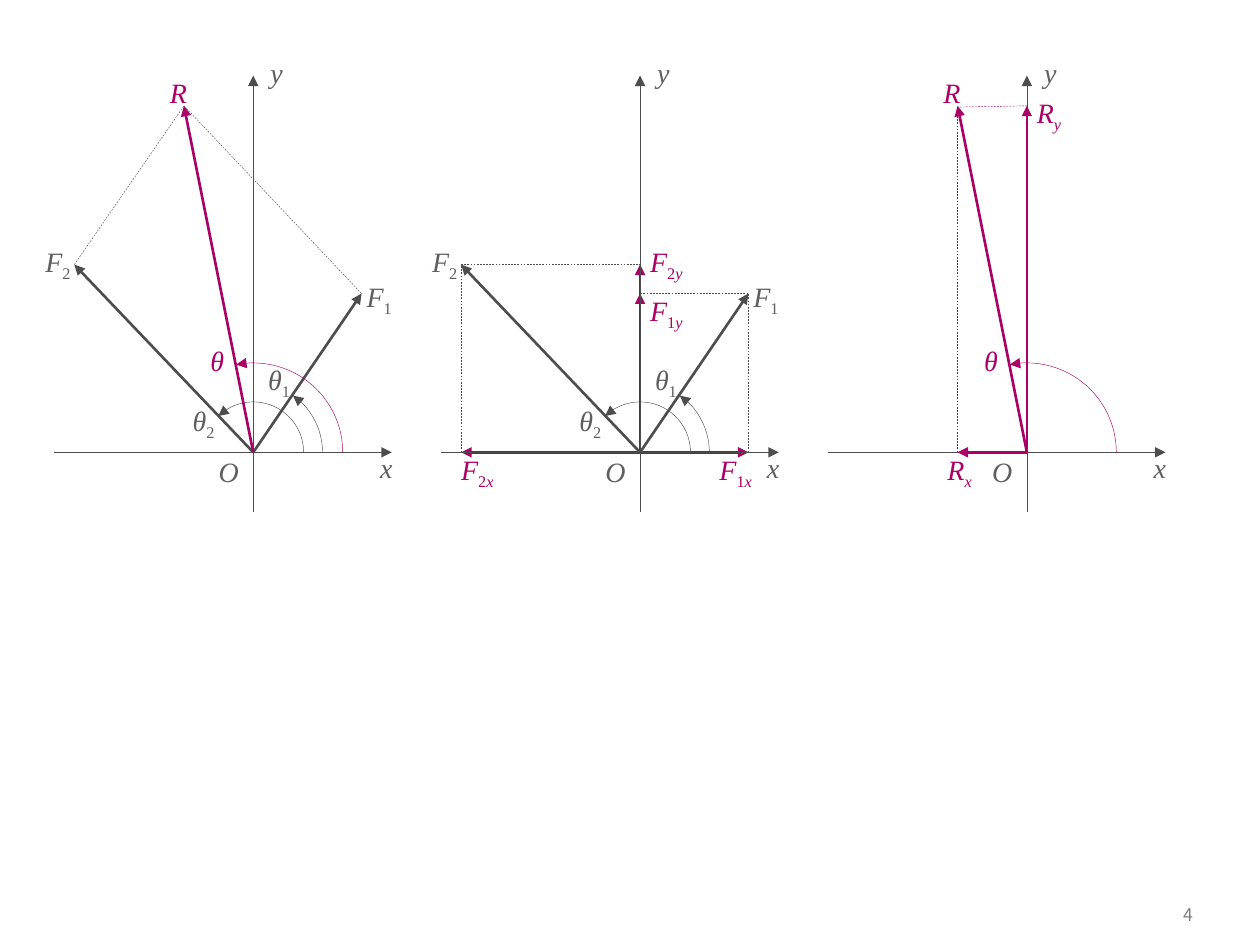
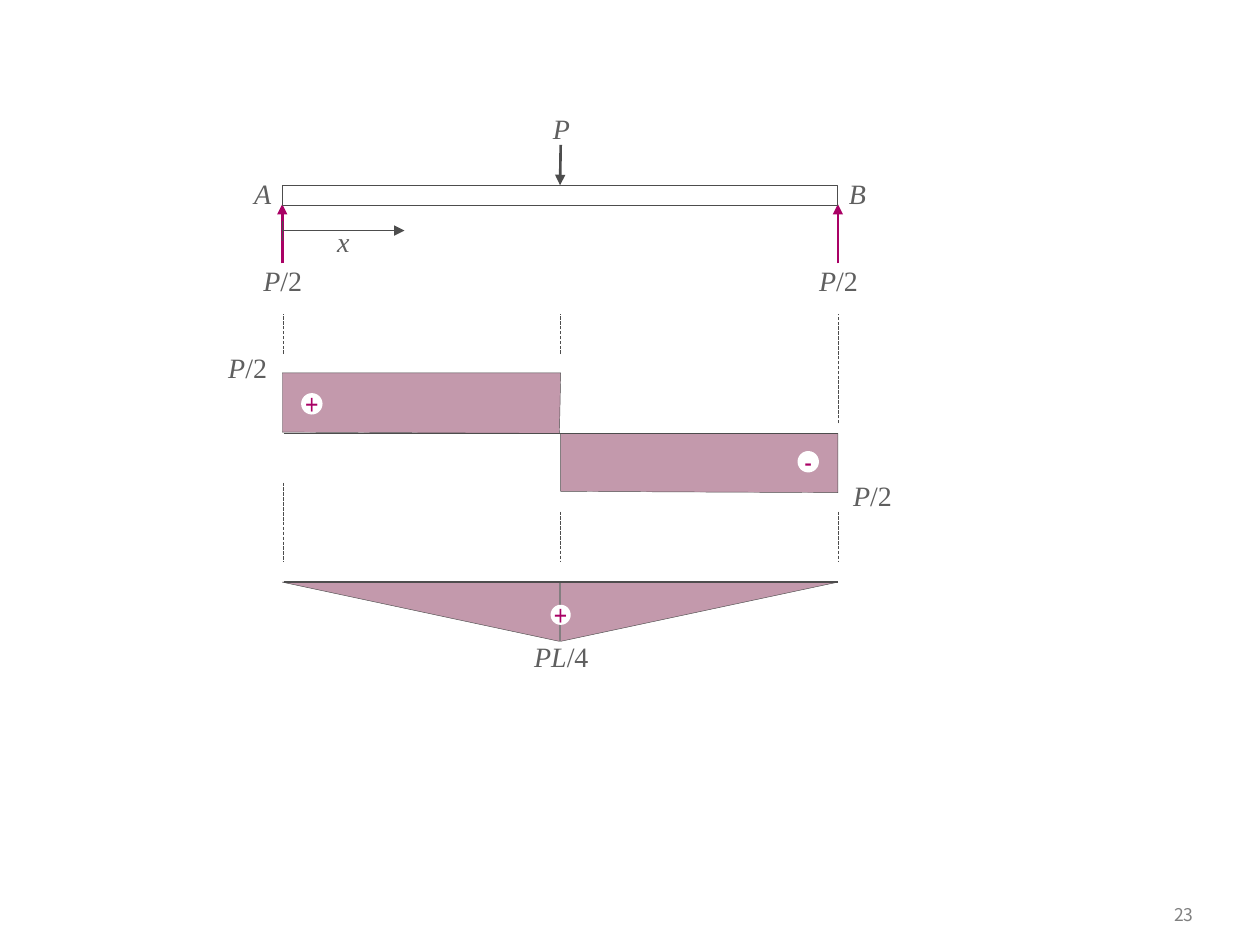
from itertools import groupby

from lxml import etree
from pptx import Presentation
from pptx.dml.color import RGBColor
from pptx.enum.dml import MSO_LINE
from pptx.enum.shapes import MSO_CONNECTOR, MSO_SHAPE
from pptx.enum.text import MSO_ANCHOR, MSO_AUTO_SIZE, PP_ALIGN
from pptx.oxml.ns import qn
from pptx.util import Pt

PX = 9144
INK = RGBColor(0x4D, 0x4D, 0x4D)
TEXT_GRAY = RGBColor(0x5F, 0x5F, 0x5F)
PAGE_GRAY = RGBColor(0x80, 0x80, 0x80)
MAGENTA = RGBColor(0xA9, 0x01, 0x65)
WINE = RGBColor(0x6B, 0x01, 0x31)
WHITE = RGBColor(0xFF, 0xFF, 0xFF)

STRAIGHT = MSO_CONNECTOR.STRAIGHT
DASH, LONG_DASH = MSO_LINE.DASH, MSO_LINE.LONG_DASH
ARC, RECTANGLE = MSO_SHAPE.ARC, MSO_SHAPE.RECTANGLE
OVAL, TRIANGLE = MSO_SHAPE.OVAL, MSO_SHAPE.ISOSCELES_TRIANGLE
LEFT, CENTER, RIGHT = PP_ALIGN.LEFT, PP_ALIGN.CENTER, PP_ALIGN.RIGHT
MIDDLE = MSO_ANCHOR.MIDDLE
GROW = MSO_AUTO_SIZE.SHAPE_TO_FIT_TEXT

MATH = {"name": "Times New Roman", "size": Pt(16)}
SIGN = {"name": "Arial Narrow", "size": Pt(16)}
PAGE = {"name": "Noto Sans CJK KR", "size": Pt(10)}
NO_INSETS = {"margin_left": 0, "margin_top": 0, "margin_right": 0, "margin_bottom": 0}
HAIR, THIN, EDGE, BOLD = 0, 0.25, 0.75, 1.5


def apply(target, formats):
    for name, value in formats.items():
        setattr(target, name, value)


class Diagram:
    def __init__(self):
        self.presentation = Presentation()
        apply(self.presentation, {"slide_width": 1000 * PX, "slide_height": 750 * PX})

    def new_slide(self, number):
        self.slide = self.presentation.slides.add_slide(self.presentation.slide_layouts[6])
        self.shapes = self.slide.shapes
        self.origin = (0, 0)
        frame = self.text_box(886, 709, 71, 33)
        frame.vertical_anchor = MIDDLE
        frame.paragraphs[0].alignment = RIGHT
        self.run(frame.paragraphs[0], number, PAGE, PAGE_GRAY)

    def new_group(self, x=0, y=0):
        self.shapes = self.slide.shapes.add_group_shape().shapes
        self.origin = (x, y)

    def place(self, x, y):
        return (self.origin[0] + x) * PX, (self.origin[1] + y) * PX

    def text_box(self, left, top, width, height):
        shape = self.shapes.add_textbox(*self.place(left, top), width * PX, height * PX)
        shape.text_frame.word_wrap = True
        return shape.text_frame

    def run(self, paragraph, text, formats, color):
        run = paragraph.add_run()
        run.text = text
        apply(run.font, formats)
        run.font.color.rgb = color
        return run

    def label(self, text, left, top, width, color=TEXT_GRAY, align=CENTER, padded=False):
        frame = self.text_box(left, top, width, 37 if padded else 27)
        apply(frame, {"auto_size": GROW} if padded else {"auto_size": GROW, **NO_INSETS})
        paragraph = frame.paragraphs[0]
        paragraph.alignment = align
        base, _, subscript = text.partition("_")
        for part, lowered in ((base, False), (subscript, True)):
            for italic, letters in groupby(part, str.isalpha):
                run = self.run(paragraph, "".join(letters), {**MATH, "italic": italic}, color)
                if lowered:
                    run._r.get_or_add_rPr().set("baseline", "-25000")

    def outline(self, shape, color, width, arrow=False, dash=None):
        shape.line.color.rgb = color
        if dash:
            shape.line.dash_style = dash
        ln = shape.get_or_add_ln()
        ln.set("w", str(int(Pt(width))))
        if arrow:
            etree.SubElement(ln, qn("a:tailEnd"), type="triangle")

    def line(self, start, end, color=INK, width=THIN, arrow=False, dash=None):
        connector = self.shapes.add_connector(STRAIGHT, *self.place(*start), *self.place(*end))
        self.outline(connector, color, width, arrow, dash)
        etree.SubElement(connector.element.spPr, qn("a:effectLst"))
        return connector

    def vector(self, end, color=INK):
        self.line((0, 0), end, color, BOLD, True)

    def shape(self, kind, left, top, width, height, rotation=0, flip=None):
        shape = self.shapes.add_shape(kind, *self.place(left, top), width * PX, height * PX)
        shape.shadow.inherit = False
        shape.rotation = rotation
        if flip:
            shape.element.spPr.xfrm.set(flip, "1")
        return shape

    def arc(self, radius, degrees, color=INK):
        shape = self.shape(ARC, -radius, -radius, 2 * radius, 2 * radius, 180, "flipV")
        shape.adjustments[0] = 180 * 0.6
        shape.adjustments[1] = (180 + degrees) * 0.6
        shape.fill.background()
        self.outline(shape, color, THIN, True)

    def tint(self, shape):
        shape.fill.solid()
        shape.fill.fore_color.rgb = WINE
        color = shape.element.spPr.find(".//" + qn("a:srgbClr"))
        etree.SubElement(color, qn("a:alpha"), val="40000")
        self.outline(shape, INK, THIN)

    def polygon(self, points):
        corners = [self.place(*point) for point in points]
        builder = self.shapes.build_freeform(*corners[0])
        builder.add_line_segments(corners[1:], close=True)
        shape = builder.convert_to_shape()
        shape.shadow.inherit = False
        self.tint(shape)

    def triangle(self, left, top, width, height, flip=None):
        shape = self.shape(TRIANGLE, left, top, width, height, 180, flip)
        shape.adjustments[0] = 0
        self.tint(shape)

    def sign(self, text, left, top, size=17):
        shape = self.shape(OVAL, left, top, size, size)
        shape.fill.solid()
        shape.fill.fore_color.rgb = WHITE
        shape.line.fill.background()
        apply(shape.text_frame, {"word_wrap": False, "vertical_anchor": MIDDLE})
        paragraph = shape.text_frame.paragraphs[0]
        paragraph.alignment = CENTER
        self.run(paragraph, text, SIGN, MAGENTA)


FORCE_1, FORCE_2, RESULTANT = (86, -126), (-142, -149), (-55, -275)


def draw_axes(diagram):
    diagram.line((0, 47), (0, -299), width=HAIR, arrow=True)
    diagram.label("O", -39, -3, 39, padded=True)
    diagram.line((-158, 0), (110, 0), width=HAIR, arrow=True)
    diagram.label("x", 86, -1, 39)
    diagram.label("y", -1, -315, 39)


def draw_forces(diagram):
    diagram.label("F_1", 90, -137, 24, align=LEFT)
    diagram.label("F_2", -165, -165, 24, align=LEFT)
    diagram.vector(FORCE_1)
    diagram.vector(FORCE_2)
    diagram.arc(55, 55)
    diagram.arc(40, 134)
    diagram.label("θ_1", 5, -71, 31)
    diagram.label("θ_2", -55, -39, 31)


def draw_resultant(diagram):
    diagram.label("θ", -40, -86, 23, MAGENTA)
    diagram.label("R", -79, -299, 39, MAGENTA)
    diagram.vector(RESULTANT, MAGENTA)
    diagram.arc(71, 101, MAGENTA)


def draw_components(diagram):
    for name, (x, y), x_label, y_label in (
        ("F_1", FORCE_1, (63, 0), (8, -126)),
        ("F_2", FORCE_2, (-142, 0), (8, -165)),
    ):
        diagram.vector((x, 0), MAGENTA)
        diagram.vector((0, y), MAGENTA)
        diagram.label(name + "x", *x_label, 31, MAGENTA, LEFT)
        diagram.label(name + "y", *y_label, 31, MAGENTA, LEFT)


def build_force_slide(diagram):
    diagram.new_slide("4")
    panels = [(201 + 307 * index, 359) for index in range(3)]

    diagram.new_group(*panels[0])
    draw_axes(diagram)
    draw_forces(diagram)
    for force in (FORCE_2, FORCE_1):
        diagram.line(force, RESULTANT, dash=DASH)
    draw_resultant(diagram)

    diagram.new_group(*panels[1])
    draw_components(diagram)
    draw_axes(diagram)
    draw_forces(diagram)
    for x, y in (FORCE_1, FORCE_2):
        diagram.line((x, 0), (x, y), dash=DASH)
        diagram.line((x, y), (0, y), dash=DASH)

    diagram.new_group(*panels[2])
    x, y = RESULTANT
    draw_axes(diagram)
    diagram.label("R_y", 8, -283, 24, MAGENTA, LEFT)
    diagram.label("R_x", -63, 0, 24, MAGENTA, LEFT)
    for component in ((0, y), (x, 0)):
        diagram.vector(component, MAGENTA)
        diagram.line(component, (x, y + 1), MAGENTA, dash=DASH)
    draw_resultant(diagram)


def build_beam_slide(diagram):
    diagram.new_slide("23")
    start, middle, end = 224, 445, 665

    diagram.new_group()
    for x in (start, end):
        diagram.line((x, 209), (x, 162), MAGENTA, BOLD, True)
        diagram.label("P/2", x - 31, 204, 63, padded=True)
    beam = diagram.shape(RECTANGLE, start, 147, end - start, 16)
    beam.fill.background()
    diagram.outline(beam, INK, EDGE)
    diagram.label("A", 185, 135, 47, padded=True)
    diagram.label("P", 429, 84, 31, padded=True)
    diagram.label("B", 657, 135, 47, padded=True)
    load = diagram.line((middle, 115), (middle, 147), width=BOLD, arrow=True)
    load.end_connect(beam, 0)
    diagram.line((start, 175), (start, 191))
    diagram.line((start, 183), (321, 183), arrow=True)
    diagram.label("x", 256, 173, 33, padded=True)

    diagram.new_group()
    diagram.triangle(middle, 462, 220, 47, "flipH")
    diagram.triangle(start, 462, 220, 47)
    for x, top in ((start + 1, 383), (middle, 406), (end, 406)):
        diagram.line((x, top), (x, 446), dash=LONG_DASH)
    diagram.line((start + 1, 462), (end, 462), width=EDGE)
    diagram.sign("+", 437, 480, 16)
    diagram.label("PL/4", 406, 503, 79, padded=True)

    diagram.new_group()
    diagram.polygon([(start, 343), (start, 296), (middle, 296), (middle - 1, 344)])
    diagram.polygon([(middle, 390), (middle, 344), (end, 344), (end, 391)])
    for x, bottom in ((start + 1, 281), (middle, 281), (end, 336)):
        diagram.line((x, bottom), (x, 249), dash=LONG_DASH)
    diagram.line((start + 1, 344), (end, 344), width=EDGE)
    diagram.sign("+", 239, 312)
    diagram.sign("-", 633, 358)
    diagram.label("P/2", 169, 273, 55, padded=True)
    diagram.label("P/2", end, 375, 55, padded=True)


def main():
    diagram = Diagram()
    build_force_slide(diagram)
    build_beam_slide(diagram)
    diagram.presentation.save("out.pptx")


if __name__ == "__main__":
    main()
